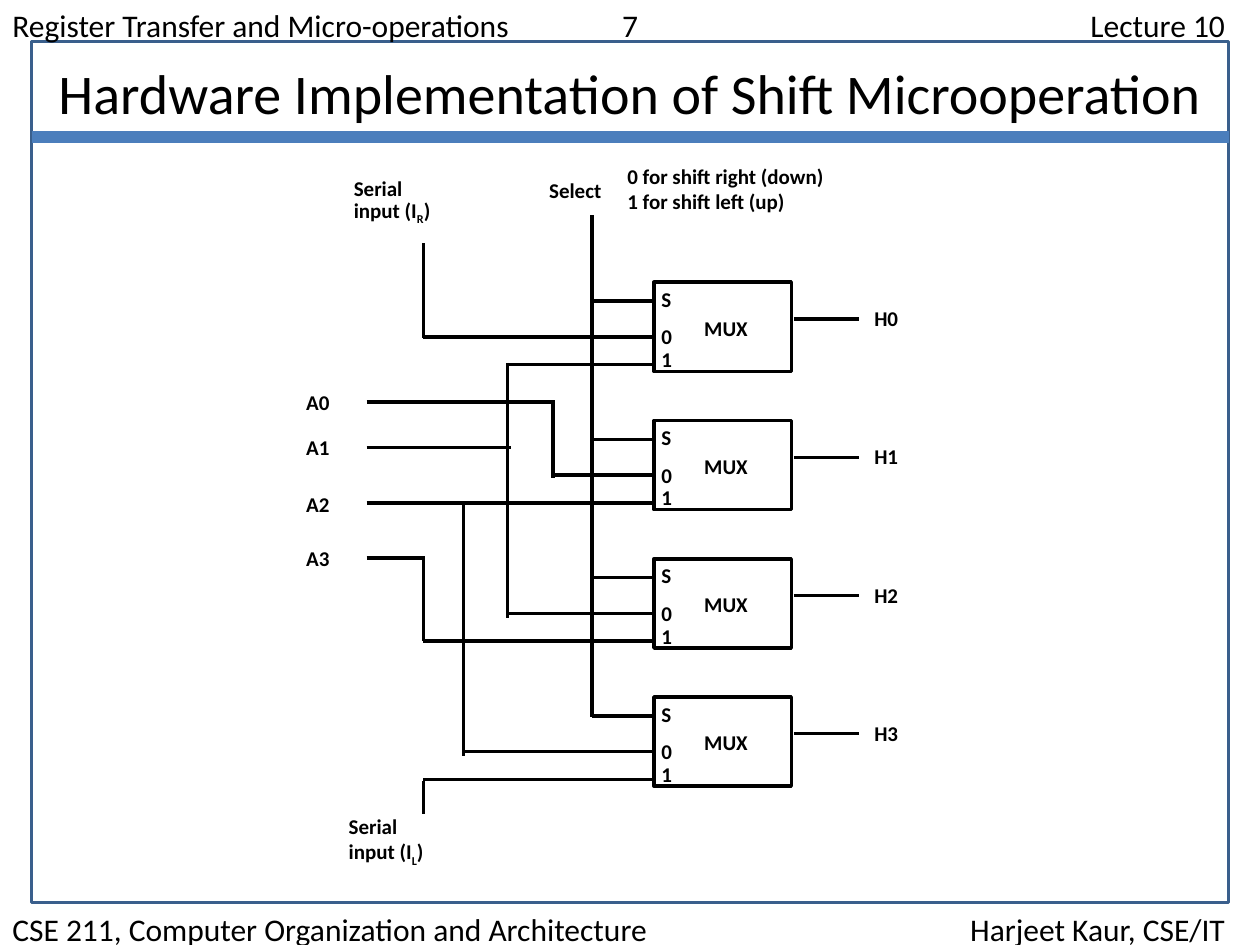
from lxml.etree import SubElement
from pptx import Presentation
from pptx.dml.color import RGBColor
from pptx.enum.shapes import MSO_CONNECTOR as Connector, MSO_SHAPE as Shape
from pptx.enum.text import MSO_AUTO_SIZE as AutoSize, PP_ALIGN as Align
from pptx.oxml.ns import qn
from pptx.util import Pt

BLACK = RGBColor(0x00, 0x00, 0x00)
FRAME_BLUE = RGBColor(0x3A, 0x5F, 0x8C)
BAR_BLUE = RGBColor(0x4B, 0x7E, 0xBC)

deck = Presentation()
deck.slide_width, deck.slide_height = Pt(720), Pt(540)
page = deck.slides.add_slide(deck.slide_layouts[6])


def add_text(left, top, width, height, lines, size=12, bold=True, wrap=False):
    """Each line is a list of runs; a run starting with "_" is a subscript."""
    box = page.shapes.add_textbox(Pt(left), Pt(top), Pt(width), Pt(height))
    frame = box.text_frame
    frame.word_wrap = wrap
    frame.auto_size = AutoSize.SHAPE_TO_FIT_TEXT
    for index, line in enumerate(lines):
        para = frame.add_paragraph() if index else frame.paragraphs[0]
        for text in line:
            span = para.add_run()
            span.text = text.removeprefix("_")
            span.font.name = "Calibri"
            span.font.size = Pt(size)
            span.font.bold = bold
            span.font.color.rgb = BLACK
            if text.startswith("_"):
                span.font._element.set("baseline", "-25000")
    return frame.paragraphs


def add_line(x1, y1, x2, y2, color=BLACK, weight=2):
    line = page.shapes.add_connector(Connector.STRAIGHT, Pt(x1), Pt(y1), Pt(x2), Pt(y2))
    line.line.color.rgb = color
    line.line.width = Pt(weight)
    SubElement(line._element.spPr, qn("a:effectLst"))


# Outer frame and the four multiplexer boxes
MUX_LEFT, MUX_TOP, MUX_WIDTH, MUX_HEIGHT, MUX_PITCH = 373.7, 161.3, 78.5, 51, 79
mux_tops = [MUX_TOP + MUX_PITCH * row for row in range(4)]
outlines = [(18, 23.8, 684, 492, FRAME_BLUE)]
outlines += [(MUX_LEFT, top, MUX_WIDTH, MUX_HEIGHT, BLACK) for top in mux_tops]
for left, top, width, height, color in outlines:
    outline = page.shapes.add_shape(Shape.RECTANGLE, Pt(left), Pt(top), Pt(width), Pt(height))
    outline.shadow.inherit = False
    outline.fill.background()
    outline.line.color.rgb = color
    outline.line.width = Pt(2)

# Header, footer and title
running_lines = [
    (0, "Register Transfer and Micro-operations\t7\tLecture 10", [(353, "ctr"), (693, "r")]),
    (516.2, "CSE 211, Computer Organization and Architecture\tHarjeet Kaur, CSE/IT", [(693, "r")]),
]
for top, text, stops in running_lines:
    para = add_text(0, top, 720, 29, [[text]], size=18, bold=False, wrap=True)[0]
    tab_list = SubElement(para._p.get_or_add_pPr(), qn("a:tabLst"))
    for position, align in stops:
        SubElement(tab_list, qn("a:tab"), pos=str(Pt(position)), algn=align)

add_line(18, 78.1, 702, 78.1, BAR_BLUE, 6.75)
title = add_text(24, 30, 672, 46, [["Hardware Implementation of Shift Microoperation"]],
                 size=32, bold=False, wrap=True)
title[0].alignment = Align.CENTER

# Vertical buses, by x
SELECT_X, A0_X, A1_X, A2_X, SERIAL_X = 338.4, 316, 290, 265, 242
INPUT_X = 209.5

# Multiplexer pins: where the wires into 0 and 1 begin
pin_starts = [(SERIAL_X, A1_X), (A0_X, INPUT_X), (A1_X, SERIAL_X), (A2_X, SERIAL_X)]
for row, (top, (zero_x, one_x)) in enumerate(zip(mux_tops, pin_starts)):
    for start_x, drop in ((SELECT_X, 10.8), (zero_x, 31.2), (one_x, 47)):
        add_line(start_x, top + drop, MUX_LEFT, top + drop)
    add_line(453.6, top + 21, 491, top + 21)
    for label, left, drop, width in (("S", 370.8, -1.2, 21), ("0", 370.8, 20.2, 21.6),
                                     ("1", 370.8, 33.2, 21.6), ("MUX", 395.3, 15.2, 41.8),
                                     (f"H{row}", 492.5, 9.8, 29.5)):
        add_text(left, top + drop, width, 23, [[label]])

# Vertical wires
for x, start_y, end_y in (
    (SELECT_X, 123, 410), (A0_X, 229, 273), (A1_X, 207.4, 353), (A2_X, 286.5, 432),
    (SERIAL_X, 139, 193), (SERIAL_X, 318.2, 366.5), (SERIAL_X, 446.5, 465),
):
    add_line(x, start_y, x, end_y)

# Inputs A0 to A3; the A2 wire is the one into pin 1 of the second multiplexer
for row, (label_top, wire_y, end_x) in enumerate((
    (218.9, 229.7, 317), (245, 255.6, 292.3), (277.4, None, None), (308, 318.8, 243),
)):
    add_text(167.8, label_top, 29.5, 23, [[f"A{row}"]])
    if wire_y:
        add_line(INPUT_X, wire_y, end_x, wire_y)

# Signal labels
add_text(306.7, 97.9, 46.8, 23, [["Select"]])
add_text(351.4, 90, 137.5, 39, [["0 for shift right (down)"], ["1 for shift left (up)"]])
serial_right = add_text(195.1, 99.4, 62.6, 45, [["Serial"], ["input (I", "_R", ")"]])
for para in serial_right:
    para.line_spacing = 0.8
add_text(192.2, 461.5, 64, 55, [["Serial"], ["input (I", "_L", ")"]])

deck.save("out.pptx")
